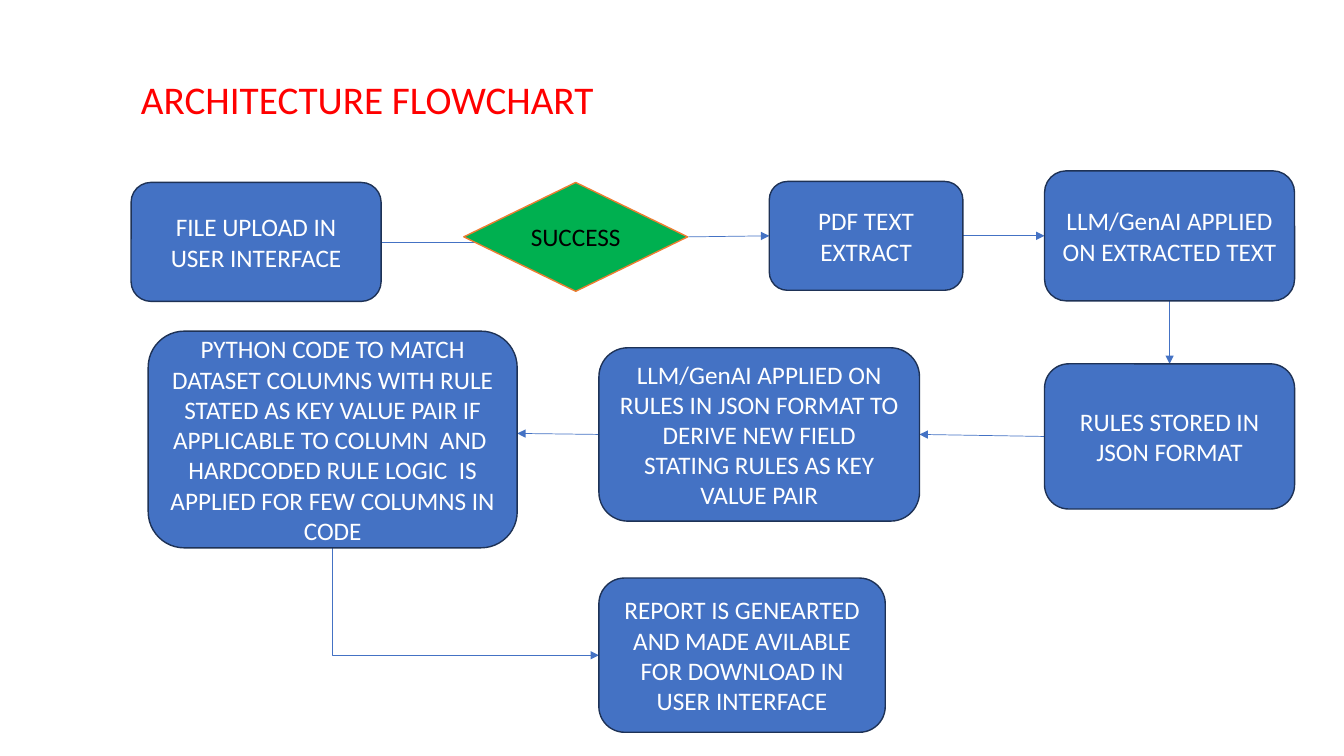
"""Build the architecture flowchart slide."""
from lxml import etree
from pptx import Presentation
from pptx import util as u
from pptx.dml.color import RGBColor
from pptx.enum import shapes, text
from pptx.oxml.ns import qn

WIDTH, HEIGHT = 13.33, 7.5
FONT = "Calibri"
COLOURS = {"title": "FF0000", "box": "4472C4", "edge": "1E3256", "text": "FFFFFF",
           "decision": "00B050", "decision edge": "ED7D31", "decision text": "000000"}
TITLE = "ARCHITECTURE FLOWCHART"
TITLE_BOX = (1.3, 0.7, 4.82, 0.57)

KINDS = {"rounded": shapes.MSO_SHAPE.ROUNDED_RECTANGLE,
         "process": shapes.MSO_SHAPE.FLOWCHART_ALTERNATE_PROCESS,
         "decision": shapes.MSO_SHAPE.FLOWCHART_DECISION}
PALETTES = {"rounded": ("box", "edge", "text"),
            "process": ("box", "edge", "text"),
            "decision": ("decision", "decision edge", "decision text")}
COLUMNS = {"upload": 1.3, "match": 1.47, "success": 4.6, "middle": 5.94,
           "extract": 7.63, "right": 10.36}

# name: (kind, column, vertical centre, width, height, words)
STEPS = {
    "upload": ("rounded", "upload", 2.4, 2.48, 1.18, "FILE UPLOAD IN USER INTERFACE"),
    "success": ("decision", "success", 2.35, 2.22, 1.08, "SUCCESS"),
    "extract": ("process", "extract", 2.34, 1.92, 1.08, "PDF TEXT EXTRACT"),
    "apply": ("process", "right", 2.34, 2.48, 1.29, "LLM/GenAI APPLIED ON EXTRACTED TEXT"),
    "store": ("process", "right", 4.33, 2.48, 1.44, "RULES STORED IN JSON FORMAT"),
    "derive": ("process", "middle", 4.31, 3.18, 1.72,
               "LLM/GenAI APPLIED ON RULES IN JSON FORMAT TO DERIVE NEW FIELD "
               "STATING RULES AS KEY VALUE PAIR"),
    "match": ("process", "match", 4.36, 3.66, 2.15,
              "PYTHON CODE TO MATCH DATASET COLUMNS WITH RULE STATED AS KEY VALUE PAIR IF "
              "APPLICABLE TO COLUMN  AND  HARDCODED RULE LOGIC  IS APPLIED FOR FEW COLUMNS IN CODE"),
    "report": ("process", "middle", 6.5, 2.84, 1.53,
               "REPORT IS GENEARTED AND MADE AVILABLE FOR DOWNLOAD IN USER INTERFACE"),
}
SITES = {"top": 0, "left": 1, "bottom": 2, "right": 3}
ARROWS = [
    (("upload", "right"), (5, 2.4)),
    (("success", "right"), ("extract", "left")),
    (("extract", "right"), ("apply", "left")),
    (("apply", "bottom"), ("store", "top")),
    (("store", "left"), ("derive", "right")),
    (("derive", "left"), (5.13, 4.3)),
    (("match", "bottom"), ("report", "left")),
]


def colour(name):
    return RGBColor.from_string(COLOURS[name])


def style_text(paragraph, words, size, colour_name):
    paragraph.text = words
    paragraph.font.name = FONT
    paragraph.font.size = u.Pt(size)
    paragraph.font.color.rgb = colour(colour_name)


def add_title(slide):
    box = slide.shapes.add_textbox(*map(u.Inches, TITLE_BOX))
    box.text_frame.word_wrap = True
    style_text(box.text_frame.paragraphs[0], TITLE, 28, "title")


def add_step(slide, kind, column, centre, width, height, words):
    place = (COLUMNS[column], centre - height / 2, width, height)
    shape = slide.shapes.add_shape(KINDS[kind], *map(u.Inches, place))
    fill, edge, ink = PALETTES[kind]
    shape.shadow.inherit = False
    shape.fill.solid()
    shape.fill.fore_color.rgb = colour(fill)
    shape.line.color.rgb = colour(edge)
    shape.line.width = u.Pt(1)
    frame = shape.text_frame
    frame.word_wrap = True
    frame.vertical_anchor = text.MSO_ANCHOR.MIDDLE
    style_text(frame.paragraphs[0], words, 18, ink)
    frame.paragraphs[0].alignment = text.PP_ALIGN.CENTER
    return shape


def add_arrow(slide):
    arrow = slide.shapes.add_connector(shapes.MSO_CONNECTOR.STRAIGHT, 0, 0, 0, 0)
    arrow.line.color.rgb = colour("box")
    arrow.line.width = u.Pt(0.5)
    properties = arrow.line._get_or_add_ln()
    etree.SubElement(properties, qn("a:tailEnd"), type="triangle")
    etree.SubElement(arrow._element.spPr, qn("a:effectLst"))
    return arrow


def join(arrow, steps, start, end):
    name, side = start
    arrow.begin_connect(steps[name], SITES[side])
    if end[0] in steps:
        arrow.end_connect(steps[end[0]], SITES[end[1]])
    else:
        arrow.end_x, arrow.end_y = map(u.Inches, end)


def bend_down_then_right(arrow):
    across, down = arrow.width, arrow.height
    centre_x, centre_y = arrow.left + across // 2, arrow.top + down // 2
    arrow.left, arrow.top = centre_x - down // 2, centre_y - across // 2
    arrow.width, arrow.height = down, across
    properties = arrow._element.spPr
    properties.find(qn("a:prstGeom")).set("prst", "bentConnector2")
    frame = properties.find(qn("a:xfrm"))
    frame.set("rot", "16200000")
    frame.set("flipH", "1")


def main():
    presentation = Presentation()
    presentation.slide_width = u.Inches(WIDTH)
    presentation.slide_height = u.Inches(HEIGHT)
    slide = presentation.slides.add_slide(presentation.slide_layouts[6])
    add_title(slide)
    arrows = [add_arrow(slide) for _ in ARROWS]
    steps = {name: add_step(slide, *step) for name, step in STEPS.items()}
    for arrow, (start, end) in zip(arrows, ARROWS):
        join(arrow, steps, start, end)
    bend_down_then_right(arrows[-1])
    presentation.save("out.pptx")


if __name__ == "__main__":
    main()
